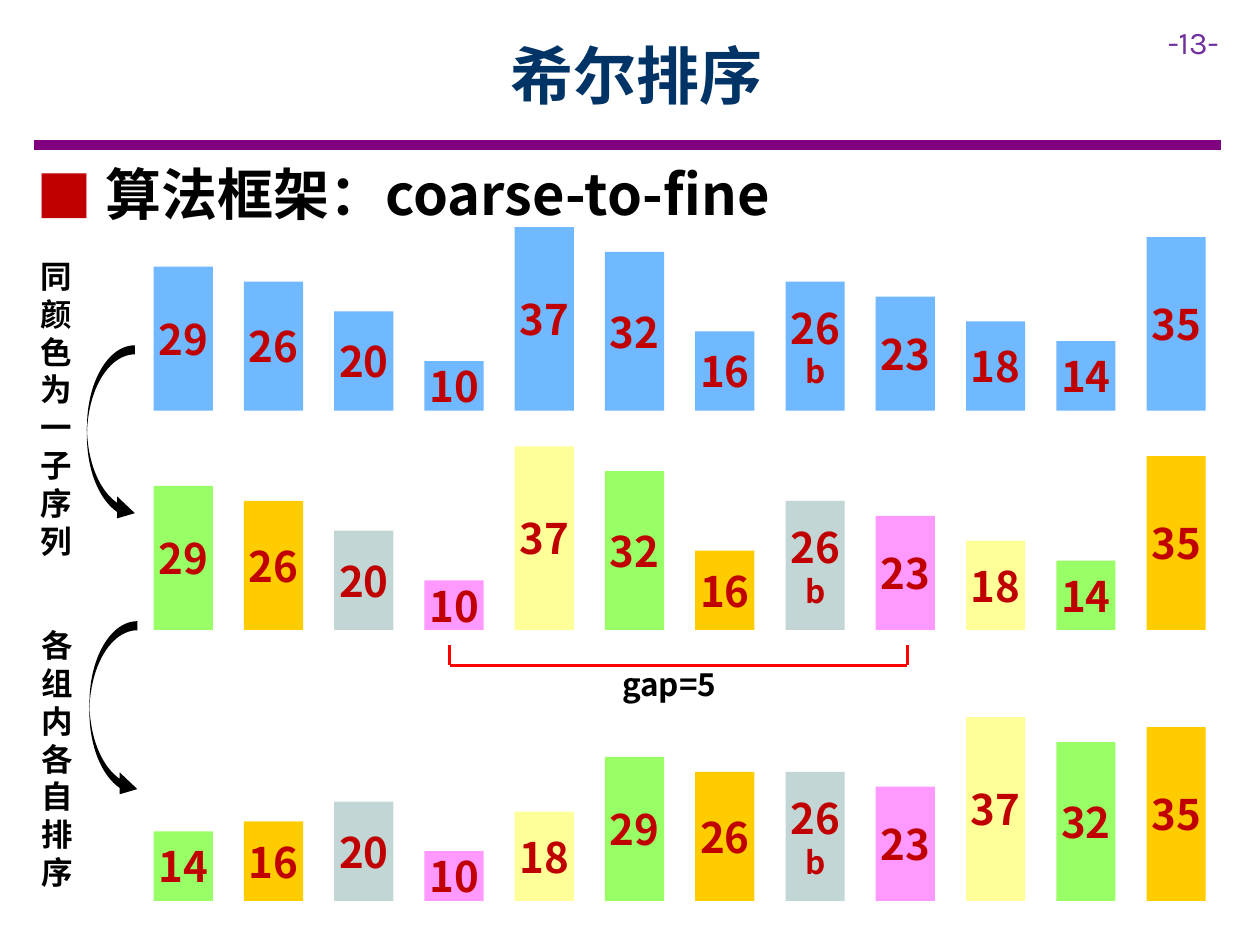
from lxml import etree
from pptx import Presentation
from pptx.dml.color import RGBColor
from pptx.enum.shapes import MSO_CONNECTOR, MSO_SHAPE
from pptx.enum.text import MSO_ANCHOR, MSO_AUTO_SIZE, PP_ALIGN
from pptx.oxml.ns import qn
from pptx.util import Inches, Pt

RECT = MSO_SHAPE.RECTANGLE
CURVED_ARROW = MSO_SHAPE.CURVED_RIGHT_ARROW
STRAIGHT = MSO_CONNECTOR.STRAIGHT
CENTER, LEFT = PP_ALIGN.CENTER, PP_ALIGN.LEFT
MIDDLE, TOP = MSO_ANCHOR.MIDDLE, MSO_ANCHOR.TOP
FIT_SHAPE, NO_FIT = MSO_AUTO_SIZE.SHAPE_TO_FIT_TEXT, MSO_AUTO_SIZE.NONE

COLORS = {
    "rule": "800080", "page": "7030A0", "title": "003366", "black": "000000",
    "red": "C00000", "bracket": "FF0000", "blue": "70B8FF", "green": "99FF66",
    "orange": "FFCC00", "grey": "C2D6D6", "pink": "FF99FF", "yellow": "FFFF99",
}
FONT = "Noto Sans CJK SC"
PAGE_FONT = "Karla"

FIRST_X, LAST_X, BAR_W = 1.22, 9.1, 0.47
UNIT_H = 0.0394  # bar height for each unit of value
GAP = 5
GROUPS = ["green", "orange", "grey", "pink", "yellow"]
UNSORTED = "29 26 20 10 37 32 16 26b 23 18 14 35".split()
GROUP_SORTED = "14 16 20 10 18 29 26 26b 23 37 32 35".split()


class SlideBuilder:
    """Holds the current slide and the text style shared by its elements."""

    def __init__(self, s, font, colors):
        self.s = s
        self.font = font
        self.colors = colors

    def rgb(self, name):
        return RGBColor.from_string(self.colors[name])

    def run(self, p, text, size, color, font=None, bold=True):
        r = p.add_run()
        r.text = text
        r.font.size = Pt(size)
        r.font.bold = bold
        r.font.color.rgb = self.rgb(color)
        r.font.name = font or self.font
        ea = etree.SubElement(r.font._element, qn("a:ea"))
        ea.set("typeface", font or self.font)

    def text(self, box, text, size, color="black", align=LEFT, anchor=TOP,
             wrap=True, fit=FIT_SHAPE, tight=True, font=None, bold=True):
        """Add a one-paragraph text box; tight sets lines 1.2 em apart."""
        tb = self.s.shapes.add_textbox(*map(Inches, box))
        tf = tb.text_frame
        tf.word_wrap = wrap
        tf.auto_size = fit
        tf.vertical_anchor = anchor
        p = tf.paragraphs[0]
        p.alignment = align
        if tight:
            p.line_spacing = Pt(size * 1.2)
        self.run(p, text, size, color, font, bold)
        return p

    def bullet(self, p, char, color, indent):
        pPr = p._p.get_or_add_pPr()
        pPr.set("marL", str(Inches(indent)))
        pPr.set("indent", str(-Inches(indent)))
        clr = etree.SubElement(pPr, qn("a:buClr"))
        etree.SubElement(clr, qn("a:srgbClr")).set("val", self.colors[color])
        etree.SubElement(pPr, qn("a:buFont")).set("typeface", self.font)
        etree.SubElement(pPr, qn("a:buChar")).set("char", char)

    def shape(self, kind, box, fill):
        sp = self.s.shapes.add_shape(kind, *map(Inches, box))
        sp.shadow.inherit = False
        sp.fill.solid()
        sp.fill.fore_color.rgb = self.rgb(fill)
        sp.line.fill.background()
        return sp

    def bar(self, x, bottom, label, fill):
        """Draw a bar as tall as its number; a letter goes on a second line."""
        number = label.rstrip("b")
        h = int(number) * UNIT_H
        tf = self.shape(RECT, (x, bottom - h, BAR_W, h), fill).text_frame
        tf.word_wrap = True
        tf.vertical_anchor = MIDDLE
        tf.margin_left = tf.margin_right = 0
        tf.margin_top = tf.margin_bottom = Inches(0.1)
        lines = [(number, 24)]
        if label != number:
            lines.append(("b", 18))
        for i, (text, size) in enumerate(lines):
            p = tf.add_paragraph() if i else tf.paragraphs[0]
            p.alignment = CENTER
            p.line_spacing = Pt(size * 1.2)
            self.run(p, text, size, "red")

    def bar_row(self, bottom, labels, fills):
        """Draw one evenly spaced row, cycling through the fills."""
        pitch = (LAST_X - FIRST_X) / (len(labels) - 1)
        for i, label in enumerate(labels):
            self.bar(FIRST_X + i * pitch, bottom, label, fills[i % len(fills)])

    def line(self, x1, y1, x2, y2, color, width):
        ln = self.s.shapes.add_connector(
            STRAIGHT, *map(Inches, (x1, y1, x2, y2)))
        ln.line.color.rgb = self.rgb(color)
        ln.line.width = Pt(width)
        etree.SubElement(ln._element.spPr, qn("a:effectLst"))

    def curved_arrow(self, x, y):
        sp = self.shape(CURVED_ARROW, (x, y, 0.38, 1.42), "black")
        for i, value in enumerate((0.19, 0.46, 0.37)):
            sp.adjustments[i] = value


def main():
    prs = Presentation()
    prs.slide_width, prs.slide_height = Inches(10), Inches(7.5)
    b = SlideBuilder(prs.slides.add_slide(prs.slide_layouts[6]), FONT, COLORS)

    b.line(0.27, 1.15, 9.69, 1.15, "rule", 6)
    b.text((9.17, 0.13, 0.83, 0.4), "-13-", 18, "page",
           tight=False, font=PAGE_FONT, bold=False)
    b.text((0.9, 0.09, 8.31, 1), "希尔排序", 36, "title", CENTER, MIDDLE,
           fit=NO_FIT, tight=False)
    heading = b.text((0.19, 1.22, 9.54, 0.64), " 算法框架：coarse-to-fine", 32)
    b.bullet(heading, "■", "red", 0.38)

    b.bar_row(3.26, UNSORTED, ["blue"])
    b.bar_row(5, UNSORTED, GROUPS)
    b.bar_row(7.15, GROUP_SORTED, GROUPS)

    left, right, top, bottom = 3.57, 7.2, 5.12, 5.28
    b.line(left, bottom, right, bottom, "bracket", 1.5)
    for x in (left, right):
        b.line(x, bottom, x, top, "bracket", 1.5)
    b.text((4.84, 5.23, 1.06, 0.4), f"gap={GAP}", 18, wrap=False)

    b.curved_arrow(0.69, 2.74)
    b.text((0.22, 1.99, 0.52, 2.52), "同颜色为一子序列", 18)
    b.curved_arrow(0.71, 4.93)
    b.text((0.23, 4.92, 0.52, 2.22), "各组内各自排序", 18)

    prs.save("out.pptx")


if __name__ == "__main__":
    main()
